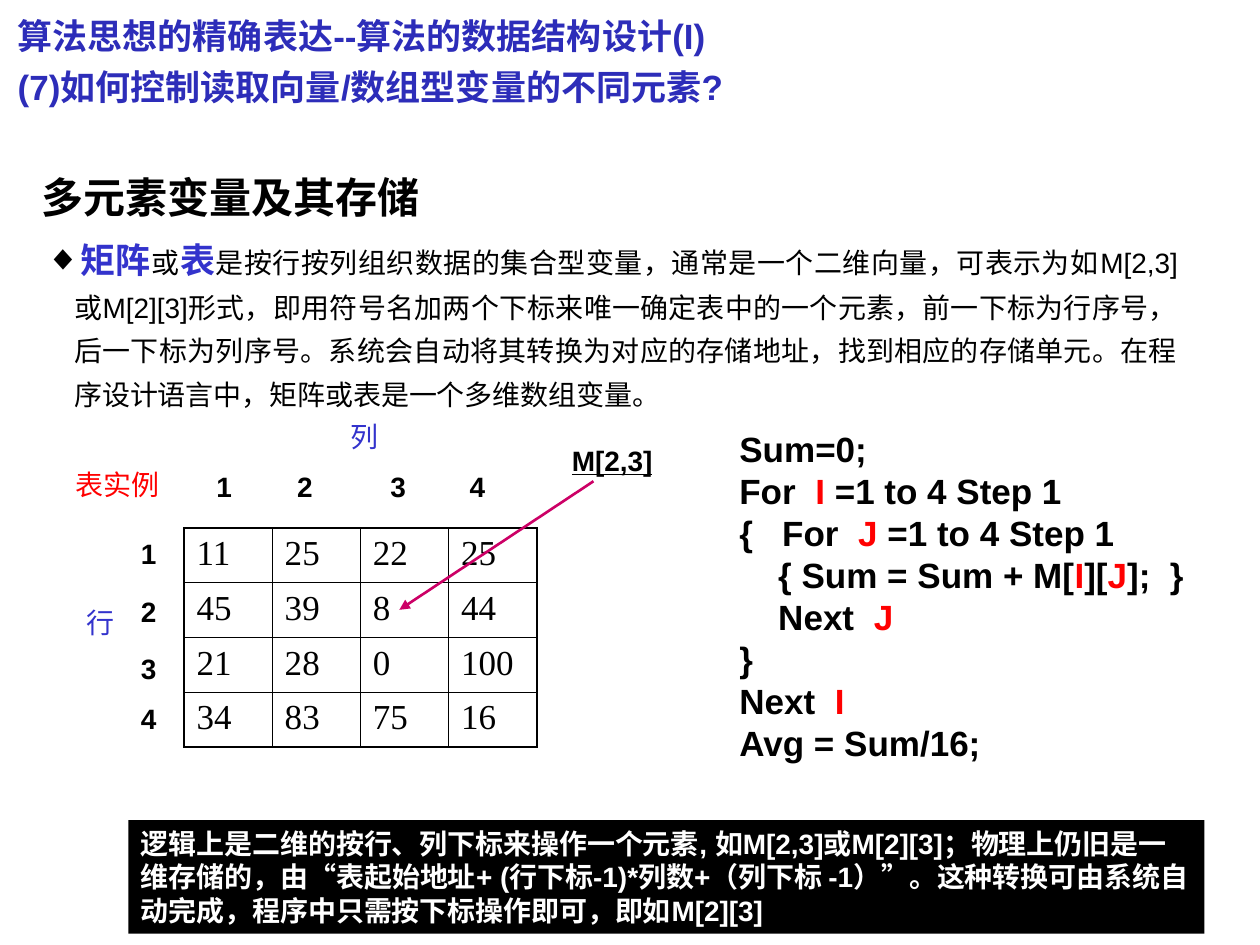
from collections import namedtuple

from lxml.etree import SubElement as Sub
from pptx import Presentation
from pptx.dml.color import RGBColor
from pptx.enum.shapes import MSO_CONNECTOR as Link, MSO_SHAPE as Form
from pptx.enum.text import MSO_ANCHOR as Anchor, MSO_AUTO_SIZE as Fit, PP_ALIGN as Align
from pptx.oxml.ns import qn
from pptx.util import Inches, Pt

BLACK = RGBColor(0, 0, 0)
WHITE = RGBColor(255, 255, 255)
NAVY = RGBColor(0x2D, 0x2D, 0xB9)
BLUE = RGBColor(0x33, 0x33, 0xCC)
RED = RGBColor(255, 0, 0)
PINK = RGBColor(0xCC, 0, 0x66)
SANS, SERIF, HAN = "Arial", "Times New Roman", "Noto Sans CJK SC"

VALUES = [[11, 25, 22, 25], [45, 39, 8, 44], [21, 28, 0, 100], [34, 83, 75, 16]]
I, J = ("I", {"color": RED}), ("J", {"color": RED})
CODE = [
    ["Sum=0;"],
    ["For  ", I, " =1 to 4 Step 1"],
    ["{   For  ", J, " =1 to 4 Step 1"],
    ["    { Sum = Sum + M[", I, "][", J, "];  }"],
    ["    Next  ", J],
    ["}"],
    ["Next  ", I],
    ["Avg = Sum/16;"],
]
KEY = {"size": 20, "color": BLUE, "bold": True}
LEAD = [[
    ("矩阵", KEY), "或", ("表", KEY),
    "是按行按列组织数据的集合型变量，通常是一个二维向量，可表示为如M[2,3]或M[2][3]形式，"
    "即用符号名加两个下标来唯一确定表中的一个元素，前一下标为行序号，后一下标为列序号。"
    "系统会自动将其转换为对应的存储地址，找到相应的存储单元。"
    "在程序设计语言中，矩阵或表是一个多维数组变量。",
]]
NOTE = [[
    "逻辑上是二维的按行、列下标来操作一个元素, 如M[2,3]或M[2][3]；物理上仍旧是一维存储的，由",
    ("“", {"face": HAN}),
    "表起始地址+ (行下标-1)*列数+（列下标 -1）",
    ("”", {"face": HAN}),
    "。这种转换可由系统自动完成，程序中只需按下标操作即可，即如M[2][3]",
]]


class Box(namedtuple("Box", "x y w h")):
    def cut(self, x, y, w=0, h=0):
        """Inner box given in percent of this one."""
        return Box(int(self.x + self.w * x / 100), int(self.y + self.h * y / 100),
                   int(self.w * w / 100), int(self.h * h / 100))


def style(run, size=16, color=BLACK, bold=False, face=SANS):
    font = run.font
    font.size, font.bold, font.name = Pt(size), bold, face
    font.color.rgb = color
    Sub(run._r.get_or_add_rPr(), qn("a:ea")).set("typeface", HAN)


def write(frame, paras, align=Align.LEFT, gap=1.0, anchor=Anchor.TOP, wrap=True, **base):
    """Fill a frame; each paragraph lists strings or (string, changes) pairs."""
    frame.auto_size, frame.word_wrap = Fit.NONE, wrap
    frame.vertical_anchor = anchor
    for n, bits in enumerate(paras):
        para = frame.add_paragraph() if n else frame.paragraphs[0]
        para.alignment, para.line_spacing, para.space_before = align, gap, Pt(0)
        for bit in bits:
            text, more = (bit, {}) if isinstance(bit, str) else bit
            run = para.add_run()
            run.text = text
            style(run, **{**base, **more})


def place(shape, box):
    shape.left, shape.top, shape.width, shape.height = box
    return shape.text_frame


def label(slide, box, text, **look):
    frame = slide.shapes.add_textbox(*box).text_frame
    write(frame, [[text]], **look)
    return frame


def lead(slide, box):
    """Bulleted paragraph in the body placeholder."""
    frame = place(slide.placeholders[1], box)
    props = frame.paragraphs[0]._p.get_or_add_pPr()
    props.set("marL", str(Inches(0.23)))
    props.set("indent", str(-Inches(0.23)))
    tint = Sub(Sub(props, qn("a:buClr")), qn("a:srgbClr"))
    tint.set("val", str(BLACK))
    Sub(props, qn("a:buChar")).set("char", "◆")
    write(frame, LEAD, align=Align.JUSTIFY, gap=1.3)


def edge(cell, row, col, last):
    """Thin inner borders, thicker ones around the table."""
    props = cell._tc.get_or_add_tcPr()
    outer = {"L": col == 0, "R": col == last, "T": row == 0, "B": row == last}
    for n, (side, thick) in enumerate(outer.items()):
        line = Sub(props, qn("a:ln" + side), w=str(Pt(1.08 if thick else 0.45)))
        Sub(Sub(line, qn("a:solidFill")), qn("a:srgbClr")).set("val", str(BLACK))
        props.insert(n, line)


def grid(slide, box):
    size = len(VALUES)
    table = slide.shapes.add_table(size, size, *box).table
    table.first_row = table.horz_banding = False
    for r, line in enumerate(VALUES):
        table.rows[r].height = box.h // size
        table.columns[r].width = box.w // size
        for c, value in enumerate(line):
            cell = table.cell(r, c)
            cell.text = str(value)
            style(cell.text_frame.paragraphs[0].runs[0], 20, face=SERIF)
            cell.fill.background()
            edge(cell, r, c, size - 1)


def arrow(slide, start, end):
    line = slide.shapes.add_connector(Link.STRAIGHT, start.x, start.y, end.x, end.y)
    line.line.color.rgb, line.line.width = PINK, Pt(1.5)
    props = line._element.spPr
    Sub(props.get_or_add_ln(), qn("a:tailEnd")).set("type", "triangle")
    Sub(props, qn("a:effectLst"))


def matrix(slide, box):
    """Sample table with row and column numbers and the marked element."""
    tall = 12.33
    grid(slide, box.cut(24.33, 39.67, 46.67, 58))
    spots = [(x, 22.67) for x in (27, 37.67, 50, 60.5)]
    spots += [(17, y) for y in (40.33, 55.67, 70.67, 84)]
    for n, (x, y) in enumerate(spots):
        label(slide, box.cut(x, y, 5.17, tall), str(n % 4 + 1), bold=True)
    label(slide, box.cut(9.83, 58.67, 9.83, tall), "行", color=BLUE)
    label(slide, box.cut(44.67, 9.33, 9.83, tall), "列", color=BLUE)
    label(slide, box.cut(5.67, 22, 19.67, tall), "表实例",
          color=RED, face=HAN, align=Align.CENTER)
    mark = label(slide, box.cut(74, 15.67, 15.33, tall), "M[2,3]", bold=True)
    mark.paragraphs[0].runs[0].font.underline = True
    arrow(slide, box.cut(78.5, 27.33), box.cut(52.83, 61.33))


def note(slide, box):
    bar = slide.shapes.add_shape(Form.RECTANGLE, *box)
    bar.shadow.inherit = False
    bar.fill.solid()
    bar.fill.fore_color.rgb = BLACK
    bar.line.fill.background()
    write(bar.text_frame, NOTE, color=WHITE, bold=True)


def main():
    deck = Presentation()
    deck.slide_width, deck.slide_height = Inches(10), Inches(7.5)
    slide = deck.slides.add_slide(deck.slide_layouts[1])
    page = Box(0, 0, deck.slide_width, deck.slide_height)
    write(place(slide.shapes.title, page.cut(0.4, 0, 61.4, 12)),
          [["算法思想的精确表达--算法的数据结构设计(I)"],
           ["(7)如何控制读取向量/数组型变量的不同元素?"]],
          gap=1.2, wrap=False, size=20, color=NAVY, bold=True)
    label(slide, page.cut(2.3, 17.47, 44.9, 6.67), "多元素变量及其存储", size=24, bold=True)
    lead(slide, page.cut(2.6, 23.2, 91.9, 21.07))
    matrix(slide, page.cut(0, 40, 60, 40))
    code = slide.shapes.add_textbox(*page.cut(57.7, 44.53, 40.6, 36.93))
    write(code.text_frame, CODE, anchor=Anchor.MIDDLE, size=20, bold=True)
    note(slide, page.cut(10.2, 86.8, 85.4, 12))
    deck.save("out.pptx")


if __name__ == "__main__":
    main()
